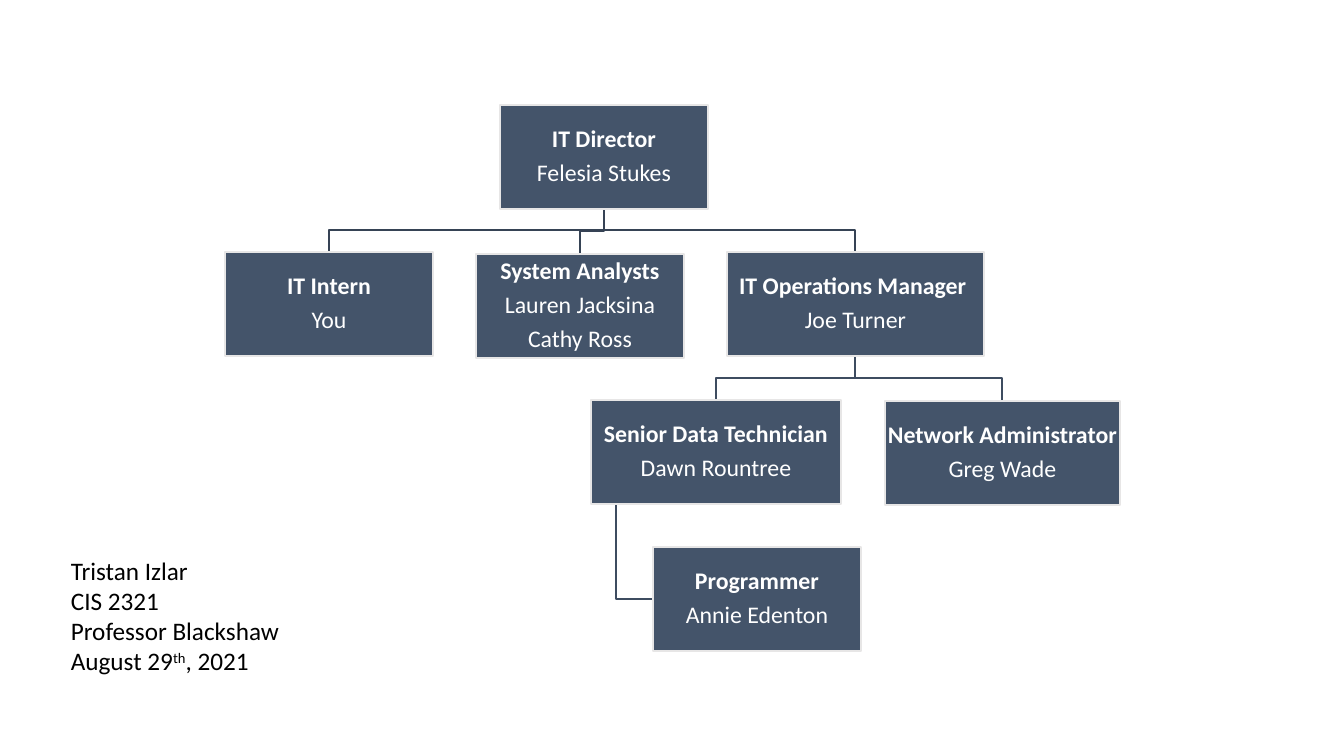
from dataclasses import dataclass

import pptx
import pptx.util
import pptx.dml.color
import pptx.enum.shapes
import pptx.enum.text

PX = 914400 / 100.8


def px(n):
    return pptx.util.Emu(round(n * PX))


def rgb(code):
    return pptx.dml.color.RGBColor.from_string(code)


@dataclass(frozen=True)
class Theme:
    font: str = "Calibri"
    node_fill: str = "44546A"
    node_line: str = "E7E6E6"
    node_text: str = "FFFFFF"
    top_link: str = "364355"
    lower_link: str = "3E4C60"
    text: str = "000000"
    node_size: int = 17
    credit_size: int = 18
    line_width: int = 1


THEME = Theme()
NODE_W, NODE_H = 208, 104

NODES = {
    "director": (275, 0, NODE_W, ["IT Director", "Felesia Stukes"]),
    "intern": (0, 147, NODE_W, ["IT Intern", "You"]),
    "analysts": (251, 149, NODE_W, ["System Analysts", "Lauren Jacksina", "Cathy Ross"]),
    "operations": (502, 147, 257, ["IT Operations Manager ", "Joe Turner"]),
    "technician": (366, 295, 250, ["Senior Data Technician", "Dawn Rountree"]),
    "programmer": (428, 442, NODE_W, ["Programmer", "Annie Edenton"]),
    "network": (660, 296, 235, ["Network Administrator ", "Greg Wade"]),
}

LINKS = [
    ("operations", "network", THEME.lower_link),
    ("technician", "programmer", THEME.lower_link),
    ("operations", "technician", THEME.lower_link),
    ("director", "operations", THEME.top_link),
    ("director", "analysts", THEME.top_link),
    ("director", "intern", THEME.top_link),
]

CREDITS = [
    [("Tristan Izlar", False)],
    [("CIS 2321", False)],
    [("Professor Blackshaw", False)],
    [("August 29", False), ("th", True), (", 2021", False)],
]


def add_run(p, text, size, color, bold=False):
    r = p.add_run()
    r.text = text
    r.font.name = THEME.font
    r.font.size = pptx.util.Pt(size)
    r.font.bold = bold
    r.font.color.rgb = rgb(color)
    return r


def set_line(sp, color):
    sp.shadow.inherit = False
    sp.line.color.rgb = rgb(color)
    sp.line.width = pptx.util.Pt(THEME.line_width)


def link_points(parent, child):
    x, y, w, _ = NODES[parent]
    cx, cy, cw, _ = NODES[child]
    bottom = y + NODE_H
    if child == "programmer":
        stem, middle = x + w // 10, cy + NODE_H // 2
        return [(stem, bottom), (stem, middle), (cx, middle)]
    start, end, bend = x + w // 2, cx + cw // 2, (bottom + cy) // 2
    return [(start, bottom), (start, bend), (end, bend), (end, cy)]


def add_link(s, points, color):
    builder = s.shapes.build_freeform(*points[0], scale=PX)
    builder.add_line_segments(points[1:], close=False)
    sp = builder.convert_to_shape()
    sp.fill.background()
    set_line(sp, color)


def add_node(s, x, y, w, lines):
    sp = s.shapes.add_shape(
        pptx.enum.shapes.MSO_SHAPE.RECTANGLE, px(x), px(y), px(w), px(NODE_H))
    sp.fill.solid()
    sp.fill.fore_color.rgb = rgb(THEME.node_fill)
    set_line(sp, THEME.node_line)
    tf = sp.text_frame
    tf.word_wrap = True
    tf.vertical_anchor = pptx.enum.text.MSO_ANCHOR.MIDDLE
    tf.margin_left = tf.margin_right = tf.margin_top = tf.margin_bottom = px(1)
    for i, line in enumerate(lines):
        p = tf.add_paragraph() if i else tf.paragraphs[0]
        p.alignment = pptx.enum.text.PP_ALIGN.CENTER
        p.line_spacing = 0.9
        p.space_after = pptx.util.Pt(6)
        add_run(p, line, THEME.node_size, THEME.node_text, bold=i == 0)


def add_org_chart(s, left, top):
    for parent, child, color in LINKS:
        points = [(left + x, top + y) for x, y in link_points(parent, child)]
        add_link(s, points, color)
    for x, y, w, lines in NODES.values():
        add_node(s, left + x, top + y, w, lines)


def add_credits(s, left, top, width, height):
    tf = s.shapes.add_textbox(px(left), px(top), px(width), px(height)).text_frame
    tf.word_wrap = True
    tf.auto_size = pptx.enum.text.MSO_AUTO_SIZE.SHAPE_TO_FIT_TEXT
    for i, runs in enumerate(CREDITS):
        p = tf.add_paragraph() if i else tf.paragraphs[0]
        for text, raised in runs:
            r = add_run(p, text, THEME.credit_size, THEME.text)
            if raised:
                r._r.get_or_add_rPr().set("baseline", "30000")


prs = pptx.Presentation()
prs.slide_width, prs.slide_height = px(1344), px(756)
s = prs.slides.add_slide(prs.slide_layouts.get_by_name("Blank"))
add_org_chart(s, 225, 105)
add_credits(s, 61, 550, 240, 132)
prs.save("out.pptx")
